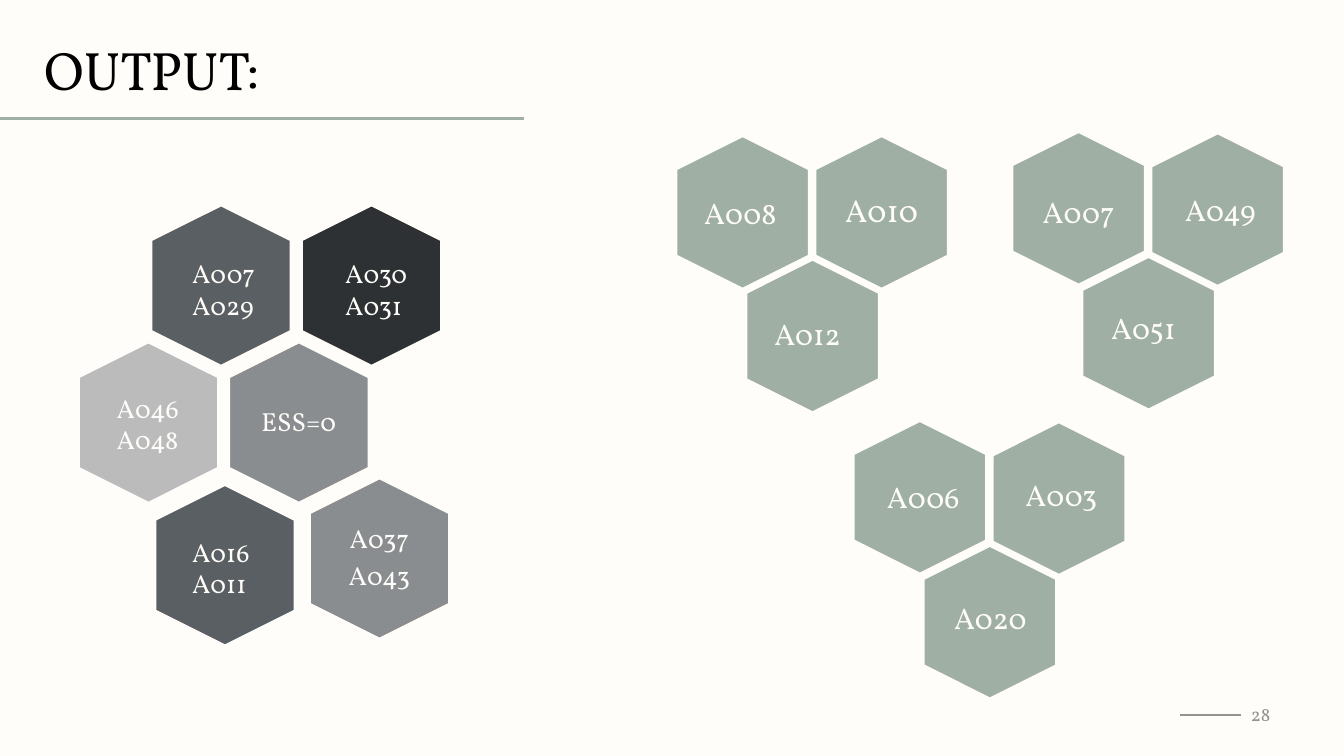
from dataclasses import dataclass

from pptx import Presentation
from pptx.dml.color import RGBColor
from pptx.enum.shapes import MSO_CONNECTOR as CONN, MSO_SHAPE as SHAPE
from pptx.enum.text import MSO_ANCHOR as ANCHOR, MSO_AUTO_SIZE as FIT, PP_ALIGN as ALIGN
from pptx.oxml.ns import qn
from pptx.util import Pt


@dataclass(frozen=True)
class Theme:
    font: str = "Vollkorn"
    paper: str = "FFFDF9"
    ink: str = "000000"
    sage: str = "9FAFA4"
    muted: str = "94918F"
    coal: str = "2D3134"
    slate: str = "5A5F63"
    grey: str = "8A8D90"
    silver: str = "BBBBBB"
    title: float = 29
    node: float = 16
    centred_node: float = 17
    pair: float = 14
    number: float = 10


T = Theme()


def rgb(value):
    return RGBColor.from_string(value)


def write(tf, lines, size, color, align=ALIGN.LEFT, anchor=ANCHOR.TOP):
    tf.word_wrap = True
    tf.auto_size = FIT.NONE
    tf.vertical_anchor = anchor
    for i, line in enumerate(lines):
        p = tf.paragraphs[0] if i == 0 else tf.add_paragraph()
        p.alignment = align
        r = p.add_run()
        r.text = line
        r.font.name = T.font
        r.font.size = Pt(size)
        r.font.color.rgb = rgb(color)


def add_rule(s, x1, x2, y, color, width):
    line = s.shapes.add_connector(CONN.STRAIGHT, Pt(x1), Pt(y), Pt(x2), Pt(y))
    line.line.color.rgb = rgb(color)
    line.line.width = Pt(width)
    sp_pr = line._element.spPr
    sp_pr.append(sp_pr.makeelement(qn("a:effectLst"), {}))


def add_hexagon(s, x, y, w, h, color):
    sp = s.shapes.add_shape(SHAPE.HEXAGON, Pt(x), Pt(y), Pt(w), Pt(h))
    sp.rotation = 90
    sp.adjustments[0] = 0.25
    sp.shadow.inherit = False
    sp.fill.solid()
    sp.fill.fore_color.rgb = rgb(color)
    sp.line.color.rgb = rgb(T.paper)
    sp.line.width = Pt(2)


def add_label(s, x, y, w, h, lines, size):
    tf = s.shapes.add_textbox(Pt(x), Pt(y), Pt(w), Pt(h)).text_frame
    write(tf, lines, size, T.paper)


def add_centred_label(s, cx, cy, w, h, lines, size, inset):
    box = s.shapes.add_textbox(Pt(cx - w / 2), Pt(cy - h / 2), Pt(w), Pt(h))
    tf = box.text_frame
    tf.margin_left = tf.margin_right = tf.margin_top = tf.margin_bottom = Pt(inset)
    write(tf, lines, size, T.paper, ALIGN.CENTER, ANCHOR.MIDDLE)
    for p in tf.paragraphs:
        p.line_spacing = 0.9
        p.space_after = Pt(0.35 * size)


def add_header(s, x, y, w, h):
    title = s.shapes.title
    title.left, title.top, title.width, title.height = Pt(x), Pt(y), Pt(w), Pt(h)
    write(title.text_frame, ["OUTPUT:"], T.title, T.ink)
    add_rule(s, 0, 280.5, y + 47.5, T.sage, 1.5)


def add_honeycomb(s, x, y):
    w, h = 87, 75.6
    cells = [
        (119.5, 0, T.coal, ["A030", "A031"], (22.3, 19.4)),
        (38.9, 0, T.slate, ["A007", "A029"], (20.9, 19.4)),
        (80.6, 73.4, T.grey, ["ESS=0"], None),
        (0, 73.4, T.silver, ["A046", "A048"], (19.4, 18)),
        (123.8, 146.2, T.grey, ["A037", "A043"], None),
        (41, 149.8, T.slate, ["A016", "A011"], (18.8, 18.7)),
    ]
    for dx, dy, color, lines, offset in cells:
        left, top = x + dx, y + dy
        add_hexagon(s, left, top, w, h, color)
        if offset:
            add_label(s, left + offset[0], top + offset[1], 59, 41, lines, T.pair)
        else:
            add_centred_label(s, left + w / 2, top + h / 2, 52.6, 59.8, lines, T.pair, 4.3)


def add_triad(s, x, y, nodes, drop=0.7):
    w, h = 82.8, 72
    corners = [(0, 0), (74.5, drop), (37.5, 66.2 + drop)]
    for (dx, dy), (name, offset) in zip(corners, nodes):
        left, top = x + dx, y + dy
        add_hexagon(s, left, top, w, h, T.sage)
        if offset:
            add_label(s, left + offset[0], top + offset[1], 62, 44, [name], T.node)
        else:
            add_centred_label(s, left + w / 2, top + h / 2, 49.7, 56.9, [name],
                              T.centred_node, 5)


def add_page_number(s, x, y, w, h):
    add_rule(s, x, x + 32.5, y + 13.5, T.muted, 0.75)
    tf = s.shapes.add_textbox(Pt(x + 12.2), Pt(y), Pt(w - 12.2), Pt(h)).text_frame
    tf.margin_top = tf.margin_bottom = Pt(7.2)
    write(tf, ["28"], T.number, T.muted, ALIGN.RIGHT)


def main():
    prs = Presentation()
    prs.slide_width, prs.slide_height = Pt(720), Pt(405)
    s = prs.slides.add_slide(prs.slide_layouts[5])
    s.background.fill.solid()
    s.background.fill.fore_color.rgb = rgb(T.paper)

    add_header(s, 16.5, 16, 440, 42.5)
    add_honeycomb(s, 36, 115.2)
    add_triad(s, 356.4, 77.8,
              [("A008", (13.7, 23)), ("A010", None), ("A012", (13.8, 21.6))], drop=0)
    add_triad(s, 536.4, 75.6,
              [("A007", (15.1, 24.5)), ("A049", (16.9, 23.1)), ("A051", (14.3, 20.1))])
    add_triad(s, 451.4, 230.4,
              [("A006", (16.6, 22.3)), ("A003", (16.3, 20.9)), ("A020", (15.1, 20.2))])
    add_page_number(s, 632.2, 369.5, 55.4, 26.6)
    prs.save("out.pptx")


if __name__ == "__main__":
    main()
